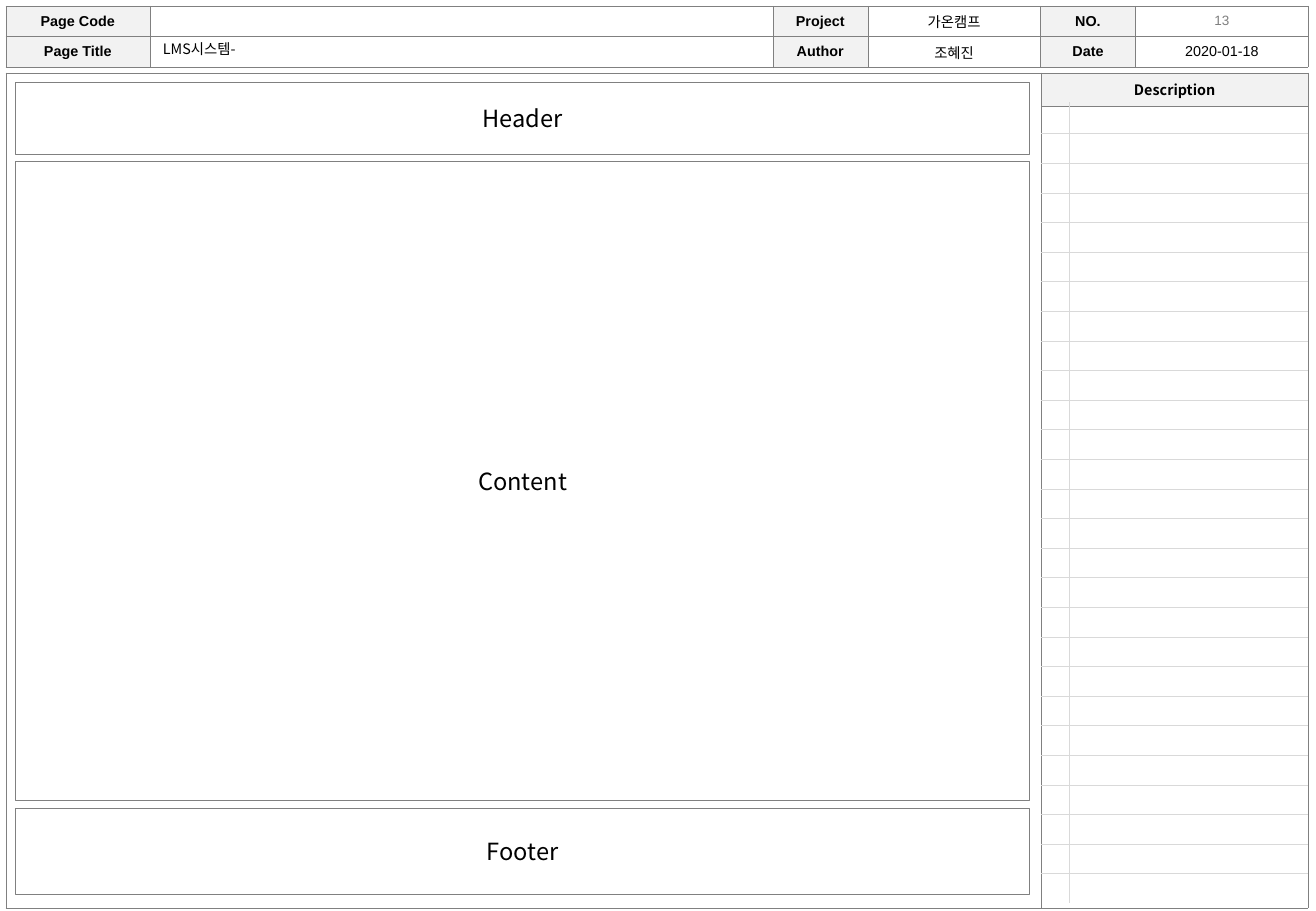
import dataclasses

import lxml.etree
import pptx
import pptx.dml.color
import pptx.enum.shapes
import pptx.enum.text
import pptx.oxml.ns
import pptx.util

ALIGN = pptx.enum.text.PP_ALIGN
ANCHOR = pptx.enum.text.MSO_ANCHOR


@dataclasses.dataclass(frozen=True)
class Theme:
    """Colours, fonts and type sizes of the storyboard."""
    ink: str = "000000"
    muted: str = "7F7F7F"
    paper: str = "FFFFFF"
    label: str = "F2F2F2"
    frame: str = "808080"
    rule: str = "D9D9D9"
    latin: str = "Arial"
    korean: str = "Noto Sans CJK KR"
    small: float = 8
    body: float = 8.5
    region: float = 14
    hairline: float = 0.25
    line: float = 0.5


THEME = Theme()


def rgb(colour):
    """Turn a hex string into a colour."""
    return pptx.dml.color.RGBColor.from_string(colour)


def add_xml(parent, tag, **attributes):
    """Append a DrawingML element to its parent."""
    return lxml.etree.SubElement(parent, pptx.oxml.ns.qn(tag), attributes)


def write(frame, text, size=THEME.body, colour=THEME.ink, font=THEME.latin,
          bold=False, align=ALIGN.CENTER):
    """Put one formatted paragraph in a text frame."""
    paragraph = frame.paragraphs[0]
    paragraph.alignment = align
    if not text:
        add_xml(paragraph._p, "a:endParaRPr", sz=str(int(size * 100)))
        return
    run = paragraph.add_run()
    run.text = text
    run.font.size = pptx.util.Pt(size)
    run.font.bold = bold
    run.font.color.rgb = rgb(colour)
    run.font.name = font
    add_xml(run.font._element, "a:ea", typeface=THEME.korean)


def set_borders(cell, colours, width):
    """Draw the left, right, top and bottom borders; None leaves one out."""
    properties = cell._tc.get_or_add_tcPr()
    for place, (side, colour) in enumerate(zip("LRTB", colours)):
        border = add_xml(properties, f"a:ln{side}",
                         w=str(pptx.util.Pt(width)))
        if colour:
            fill = add_xml(border, "a:solidFill")
            add_xml(fill, "a:srgbClr", val=colour)
        else:
            add_xml(border, "a:noFill")
        properties.insert(place, border)


class Storyboard:
    """Draws on one slide, with lengths in percent of its size."""

    def __init__(self, deck, theme):
        """Start a blank slide."""
        self.deck = deck
        self.theme = theme
        self.slide = deck.slides.add_slide(deck.slide_layouts[6])

    def across(self, share):
        """Convert a percentage of the slide width."""
        return int(self.deck.slide_width * share / 100)

    def down(self, share):
        """Convert a percentage of the slide height."""
        return int(self.deck.slide_height * share / 100)

    def area(self, left, top, width, height):
        """Convert a rectangle given in percent."""
        return (self.across(left), self.down(top),
                self.across(width), self.down(height))

    def region(self, text, *box):
        """Add an outlined page region with its name in the middle."""
        shape = self.slide.shapes.add_shape(
            pptx.enum.shapes.MSO_SHAPE.RECTANGLE, *self.area(*box))
        shape.shadow.inherit = False
        shape.fill.solid()
        shape.fill.fore_color.rgb = rgb(self.theme.paper)
        shape.line.color.rgb = rgb(self.theme.frame)
        shape.line.width = pptx.util.Pt(self.theme.line)
        shape.text_frame.vertical_anchor = ANCHOR.MIDDLE
        write(shape.text_frame, text, size=self.theme.region,
              font=self.theme.korean)

    def entry(self, text, *box, **style):
        """Add a text box at the top of a field."""
        frame = self.slide.shapes.add_textbox(*self.area(*box)).text_frame
        frame.word_wrap = True
        write(frame, text, **style)

    def table(self, left, top, columns, rows, texts=(), labels=(),
              colour=THEME.frame, width=THEME.hairline, outline=True,
              open_columns=(), **label_style):
        """Add a ruled table; labels are shaded, open columns have no rules."""
        texts = dict(texts)
        table = self.slide.shapes.add_table(
            len(rows), len(columns),
            *self.area(left, top, sum(columns), sum(rows))).table
        table.first_row = table.horz_banding = False
        for column, share in zip(table.columns, columns):
            column.width = self.across(share)
        last_row, last_column = len(rows) - 1, len(columns) - 1
        for r, share in enumerate(rows):
            table.rows[r].height = self.down(share)
            for c in range(len(columns)):
                cell = table.cell(r, c)
                cell.margin_left = cell.margin_right = self.across(0.37)
                cell.margin_top = cell.margin_bottom = self.down(0.3)
                cell.vertical_anchor = ANCHOR.MIDDLE
                is_label = (r, c) in labels
                if is_label:
                    cell.fill.solid()
                    cell.fill.fore_color.rgb = rgb(self.theme.label)
                else:
                    cell.fill.background()
                ruled = c not in open_columns
                sides = ((c > 0, True), (c < last_column, True),
                         (r > 0, ruled), (r < last_row, ruled))
                set_borders(cell, [colour if (shown if inner else outline)
                                   else None for inner, shown in sides], width)
                write(cell.text_frame, texts.get((r, c), ""), bold=is_label,
                      **(label_style if is_label else {}))


def draw_masthead(board, left, top):
    """Draw the page details above the wireframe."""
    columns, row = [10.94, 47.34, 7.22, 13.13, 7.22, 13.13], 3.35
    details = [["Page Code", "", "Project", "가온캠프", "NO.", ""],
               ["Page Title", "", "Author", "조혜진", "Date", "2020-01-18"]]
    texts = {(r, c): text for r, line in enumerate(details)
             for c, text in enumerate(line)}
    labels = [(r, c) for r, c in texts if c % 2 == 0]
    board.table(left, top, columns, [row] * 2, texts, labels)
    board.entry("13", left + sum(columns[:5]), top - 0.04, columns[5], row,
                size=THEME.small, colour=THEME.muted)
    board.entry("LMS시스템-", 11.47, 3.8, columns[1], row,
                font=THEME.korean, align=ALIGN.LEFT)


def draw_workspace(board, left, top):
    """Draw the wireframe panel and the description panel."""
    columns = [78.67, 20.31]
    board.table(left, top, columns, [3.62, 88.08], {(0, 1): "Description"},
                [(0, 1)], open_columns=(0,), font=THEME.korean)
    board.table(left + columns[0], 11.23, [2.17, 18.14],
                [3.45] + [3.25] * 26,
                colour=THEME.rule, width=THEME.line, outline=False)


def draw_regions(board, left, top, width, gap):
    """Stack the page regions with equal gaps."""
    for name, height in (("Header", 7.9), ("Content", 70.12),
                         ("Footer", 9.45)):
        board.region(name, left, top, width, height)
        top += height + gap


def main():
    """Build and save the storyboard slide."""
    deck = pptx.Presentation()
    deck.slide_width = pptx.util.Inches(10.83)
    deck.slide_height = pptx.util.Inches(7.5)
    board = Storyboard(deck, THEME)
    draw_workspace(board, left=0.44, top=8)
    draw_masthead(board, left=0.44, top=0.66)
    draw_regions(board, left=1.18, top=9.06, width=77.06, gap=0.82)
    deck.save("out.pptx")


main()
